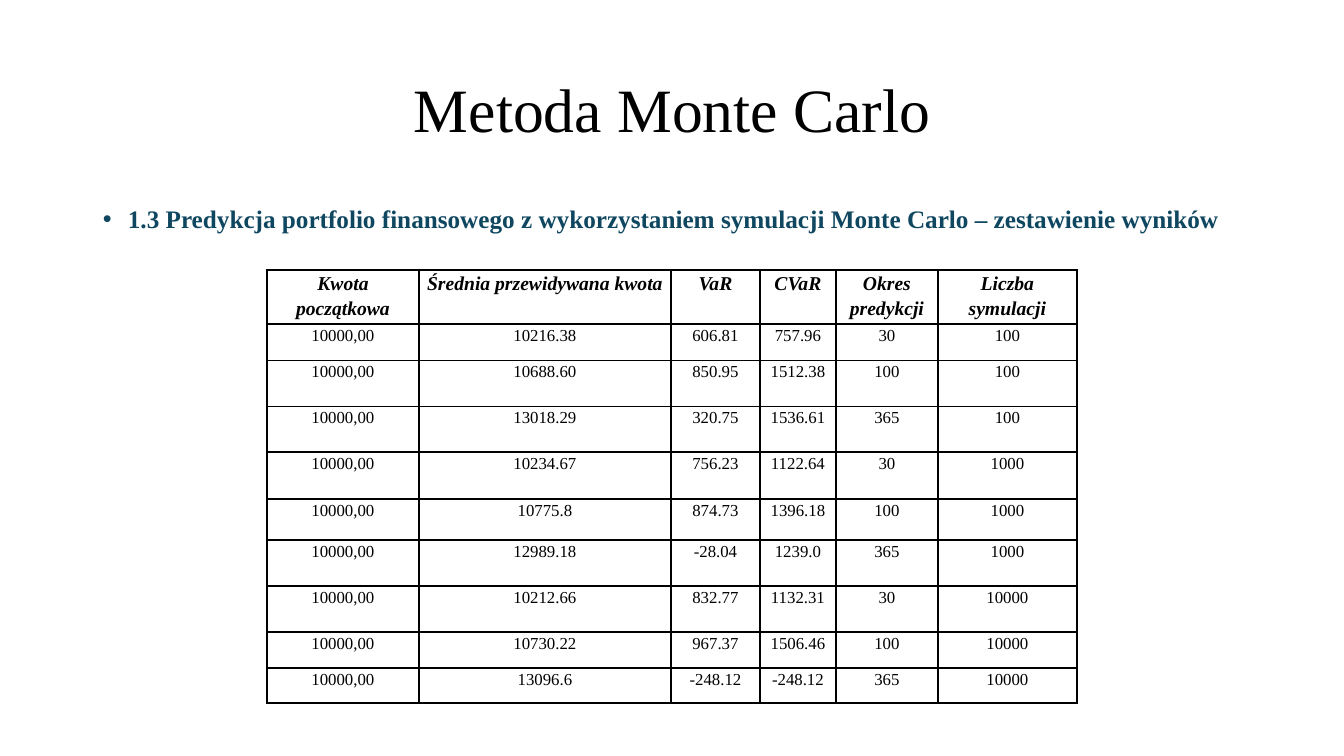
"""Build a slide that tabulates Monte Carlo portfolio predictions."""
from lxml.etree import SubElement
from pptx import Presentation
from pptx.dml.color import RGBColor
from pptx.enum.text import MSO_ANCHOR, PP_ALIGN
from pptx.oxml.ns import qn
from pptx.util import Pt

PX = 914400 / 100.8
FONT = "Times New Roman"
BLACK = RGBColor(0x00, 0x00, 0x00)
NAVY = RGBColor(0x0F, 0x47, 0x61)

HEADERS = ["Kwota początkowa", "Średnia przewidywana kwota", "VaR", "CVaR",
           "Okres predykcji", "Liczba symulacji"]
START_AMOUNT = "10000,00"
PERIODS = ["30", "100", "365"]
SIMULATION_COUNTS = ["100", "1000", "10000"]
RESULTS = [
    ["10216.38", "606.81", "757.96"],
    ["10688.60", "850.95", "1512.38"],
    ["13018.29", "320.75", "1536.61"],
    ["10234.67", "756.23", "1122.64"],
    ["10775.8", "874.73", "1396.18"],
    ["12989.18", "-28.04", "1239.0"],
    ["10212.66", "832.77", "1132.31"],
    ["10730.22", "967.37", "1506.46"],
    ["13096.6", "-248.12", "-248.12"],
]
COLUMN_WIDTHS = [152, 252, 89, 76, 102, 139]
ROW_HEIGHTS = [53, 36, 46, 46, 47, 41, 46, 46, 36, 35]


def px(*lengths):
    """Turn pixel lengths into EMU."""
    return [round(length * PX) for length in lengths]


def style_font(paragraph, size, color, bold=False, italic=False):
    """Format the font of a whole paragraph."""
    font = paragraph.font
    font.name, font.size = FONT, Pt(size)
    font.bold, font.italic = bold, italic
    font.color.rgb = color


presentation = Presentation()
presentation.slide_width, presentation.slide_height = px(1344, 756)
slide = presentation.slides.add_slide(presentation.slide_layouts[5])

title = slide.shapes.title
title.left, title.top, title.width, title.height = px(93, 40, 1159, 146)
title.text_frame.text = "Metoda Monte Carlo"
title.text_frame.vertical_anchor = MSO_ANCHOR.MIDDLE
paragraph = title.text_frame.paragraphs[0]
paragraph.alignment = PP_ALIGN.CENTER
paragraph.line_spacing = 0.9
style_font(paragraph, 44, BLACK)

subtitle = slide.shapes.add_textbox(*px(93, 202, 1159, 480))
subtitle.text_frame.word_wrap = True
paragraph = subtitle.text_frame.paragraphs[0]
paragraph.text = ("1.3 Predykcja portfolio finansowego z wykorzystaniem "
                  "symulacji Monte Carlo – zestawienie wyników")
paragraph.line_spacing = 0.9
paragraph.space_before = Pt(10)
style_font(paragraph, 18, NAVY, bold=True)
indent, = px(25)
properties = paragraph._p.get_or_add_pPr()
properties.set("marL", str(indent))
properties.set("indent", str(-indent))
bullet_font = SubElement(properties, qn("a:buFont"), typeface="Arial")
bullet = SubElement(properties, qn("a:buChar"), char="•")
bullet_font.addnext(bullet)
properties.insert_element_before(bullet_font, "a:buChar", "a:defRPr")
properties.insert_element_before(bullet, "a:defRPr")

rows = [HEADERS]
for index, result in enumerate(RESULTS):
    rows.append([START_AMOUNT, *result, PERIODS[index % 3],
                 SIMULATION_COUNTS[index // 3]])

frame = slide.shapes.add_table(
    len(rows), len(HEADERS),
    *px(267, 270, sum(COLUMN_WIDTHS), sum(ROW_HEIGHTS)))
table = frame.table
table.first_row = table.horz_banding = False
for column, width in zip(table.columns, px(*COLUMN_WIDTHS)):
    column.width = width
for row, height in zip(table.rows, px(*ROW_HEIGHTS)):
    row.height = height

last_column = len(HEADERS) - 1
for row_index, values in enumerate(rows):
    is_header = row_index == 0
    for column_index, value in enumerate(values):
        cell = table.cell(row_index, column_index)
        cell.margin_left, cell.margin_right = px(7, 7)
        cell.margin_top = cell.margin_bottom = 0
        cell.text = value
        paragraph = cell.text_frame.paragraphs[0]
        paragraph.alignment = PP_ALIGN.CENTER
        paragraph.line_spacing = 1.15
        paragraph.space_after = Pt(8)
        style_font(paragraph, 14 if is_header else 12, BLACK,
                   bold=is_header, italic=is_header)
        thick_sides = {
            "L": is_header and column_index == 0,
            "R": is_header and column_index == last_column,
            "T": row_index <= 1,
            "B": is_header,
        }
        cell_properties = cell._tc.get_or_add_tcPr()
        for side, is_thick in thick_sides.items():
            border = SubElement(cell_properties, qn(f"a:ln{side}"),
                                w=str(Pt(1.5 if is_thick else 1)))
            border_fill = SubElement(border, qn("a:solidFill"))
            SubElement(border_fill, qn("a:srgbClr"), val=str(BLACK))
        cell.fill.background()

presentation.save("out.pptx")
